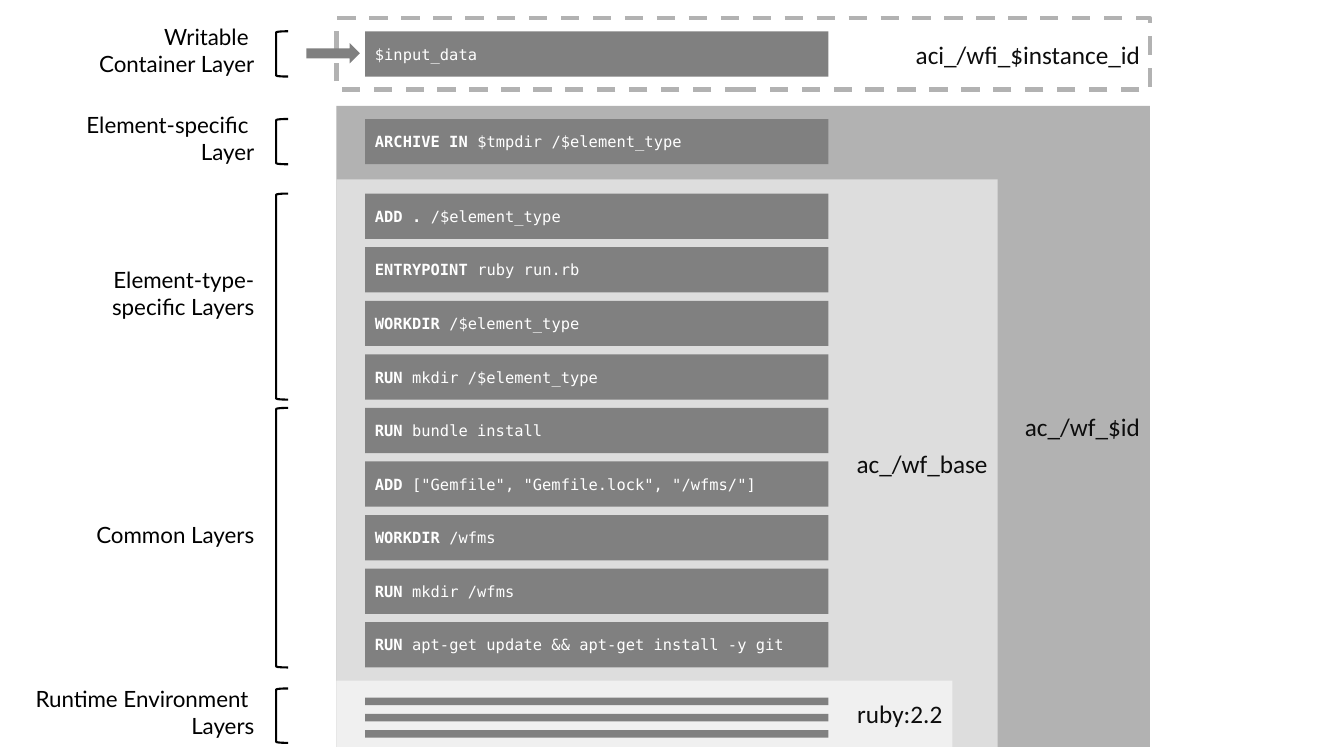
import pptx
import pptx.util
import pptx.dml.color
import pptx.enum.dml
import pptx.enum.shapes
import pptx.enum.text
from dataclasses import dataclass

Cm = pptx.util.Cm
Pt = pptx.util.Pt
Kind = pptx.enum.shapes.MSO_SHAPE
Align = pptx.enum.text.PP_ALIGN
Anchor = pptx.enum.text.MSO_ANCHOR


@dataclass(frozen=True)
class Theme:
    outer: str = "B2B2B2"
    base: str = "DDDDDD"
    inner: str = "F0F0F0"
    bar: str = "808080"
    code: str = "FFFFFF"
    name: str = "0D0D0D"
    ink: str = "000000"
    code_font: str = "DejaVu Sans Mono"
    name_font: str = "Calibri"
    note_font: str = "Lato"
    code_size: int = 11
    name_size: int = 18
    note_size: int = 16
    dash_width: float = 3.25
    line_width: float = 1.5


class Sketch:
    def __init__(self, slide, theme):
        self.slide = slide
        self.theme = theme

    def shape(self, kind, box, fill=None, line=None, width=None, group=None):
        owner = group or self.slide
        item = owner.shapes.add_shape(kind, *map(Cm, box))
        item.shadow.inherit = False
        if fill:
            item.fill.solid()
            item.fill.fore_color.rgb = pptx.dml.color.RGBColor.from_string(fill)
        else:
            item.fill.background()
        if line:
            item.line.color.rgb = pptx.dml.color.RGBColor.from_string(line)
            item.line.width = Pt(width)
        else:
            item.line.fill.background()
        return item

    def run(self, para, text, font, size, color, bold=False):
        part = para.add_run()
        part.text = text
        part.font.name = font
        part.font.size = Pt(size)
        part.font.bold = bold
        part.font.color.rgb = pptx.dml.color.RGBColor.from_string(color)

    def panel(self, name, top, width, height, fill=None):
        t = self.theme
        line = None if fill else t.outer
        item = self.shape(Kind.RECTANGLE, (PANEL_LEFT, top, width, height),
                          fill, line, t.dash_width)
        if line:
            item.line.dash_style = pptx.enum.dml.MSO_LINE.DASH
        frame = item.text_frame
        frame.vertical_anchor = Anchor.MIDDLE
        para = frame.paragraphs[0]
        para.alignment = Align.RIGHT
        self.run(para, name, t.name_font, t.name_size, t.name)

    def bar(self, top, bold, plain):
        t = self.theme
        item = self.shape(Kind.RECTANGLE, (BAR_LEFT, top, BAR_WIDTH, BAR_HEIGHT), t.bar)
        frame = item.text_frame
        frame.word_wrap = True
        frame.vertical_anchor = Anchor.MIDDLE
        para = frame.paragraphs[0]
        para.alignment = Align.LEFT
        for text, heavy in ((bold, True), (plain, False)):
            if text:
                self.run(para, text, t.code_font, t.code_size, t.code, heavy)

    def stripes(self, top, step, count):
        group = self.slide.shapes.add_group_shape()
        for i in range(count):
            self.shape(Kind.RECTANGLE, (BAR_LEFT, top + i * step, BAR_WIDTH, 0.19),
                       self.theme.bar, group=group)

    def bracket(self, top, height):
        self.shape(Kind.LEFT_BRACKET, (6.96, top, 0.3, height),
                   line=self.theme.ink, width=self.theme.line_width)

    def note(self, lines, middle, width):
        t = self.theme
        height = 0.26 + 0.68 * len(lines)
        box = self.slide.shapes.add_textbox(
            Cm(NOTE_RIGHT - width), Cm(middle - height / 2), Cm(width), Cm(height))
        frame = box.text_frame
        frame.word_wrap = False
        for i, line in enumerate(lines):
            para = frame.add_paragraph() if i else frame.paragraphs[0]
            para.alignment = Align.RIGHT
            self.run(para, line, t.note_font, t.note_size, t.ink)

    def arrow(self, left, top, width, height):
        self.shape(Kind.RIGHT_ARROW, (left, top, width, height), self.theme.bar)


PANEL_LEFT, PANEL_WIDTH, PANEL_END = 8.48, 20.5, 18.82
BAR_LEFT, BAR_WIDTH, BAR_HEIGHT, BAR_STEP = 9.2, 11.68, 1.14, 1.35
NOTE_RIGHT = 6.66
INPUT_TOP, ARCHIVE_TOP, STACK_TOP = 0.79, 3.0, 4.88

deck = pptx.Presentation()
deck.slide_width = Cm(33.87)
deck.slide_height = Cm(19.05)
theme = Theme()
sketch = Sketch(deck.slides.add_slide(deck.slide_layouts[6]), theme)

for name, top, width, fill in (
    ("ac_/wf_$id", 2.67, PANEL_WIDTH, theme.outer),
    ("ac_/wf_base", 4.52, 16.66, theme.base),
    ("ruby:2.2", 17.15, 15.52, theme.inner),
):
    sketch.panel(name, top, width, PANEL_END - top, fill)
sketch.panel("aci_/wfi_$instance_id", 0.46, PANEL_WIDTH, 1.8)

sketch.bar(INPUT_TOP, "", "$input_data")
sketch.bar(ARCHIVE_TOP, "ARCHIVE IN ", "$tmpdir /$element_type")
steps = (
    ("ADD . ", "/$element_type"),
    ("ENTRYPOINT", " ruby run.rb"),
    ("WORKDIR", " /$element_type"),
    ("RUN ", "mkdir /$element_type"),
    ("RUN", " bundle install"),
    ("ADD", ' ["Gemfile", "Gemfile.lock", "/wfms/"]'),
    ("WORKDIR", " /wfms"),
    ("RUN ", "mkdir /wfms"),
    ("RUN", " apt-get update && apt-get install -y git"),
)
for i, (bold, plain) in enumerate(steps):
    sketch.bar(STACK_TOP + i * BAR_STEP, bold, plain)
sketch.stripes(17.58, 0.41, 3)


def span(count):
    return (count - 1) * BAR_STEP + BAR_HEIGHT


for lines, width, top, height in (
    (("Writable ", "Container Layer"), 4.55, INPUT_TOP, BAR_HEIGHT),
    (("Element-specific ", "Layer"), 4.78, ARCHIVE_TOP, BAR_HEIGHT),
    (("Element-type-", "specific Layers"), 4.14, STACK_TOP, span(4)),
    (("Common Layers",), 4.55, STACK_TOP + 4 * BAR_STEP, span(5)),
    (("Runtime Environment ", "Layers"), 6.1, 17.35, 1.37),
):
    sketch.bracket(top, height)
    sketch.note(lines, top + height / 2 - 0.08, width)

sketch.arrow(7.72, 1.09, 1.35, 0.51)

deck.save("out.pptx")
